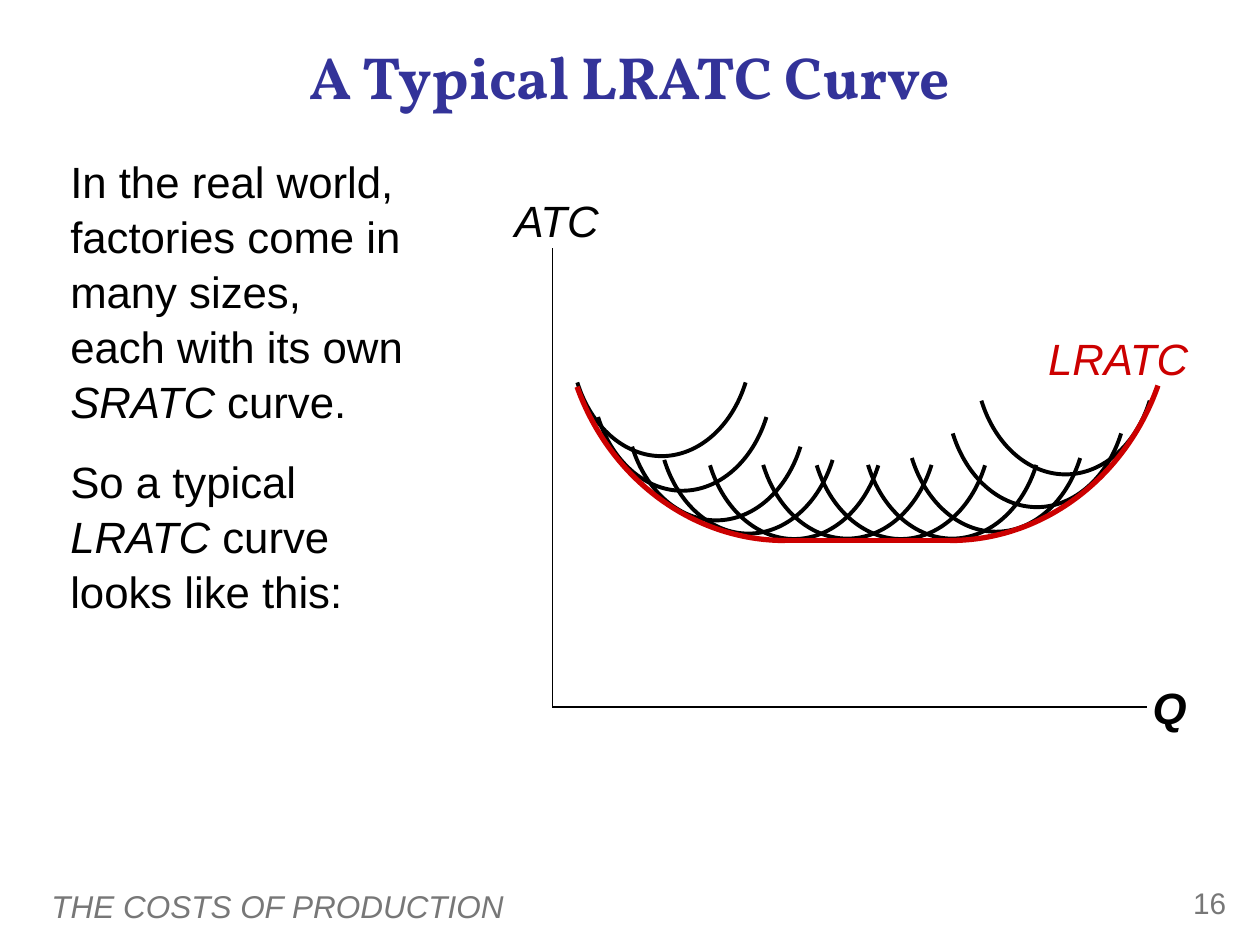
"""Builds the slide on a typical long-run average total cost curve."""
from lxml import etree
from pptx import Presentation, util as u
from pptx.dml.color import RGBColor
from pptx.enum import text
from pptx.enum.shapes import MSO_CONNECTOR
from pptx.oxml.ns import qn

BLACK = RGBColor(0x00, 0x00, 0x00)
GREY = RGBColor(0x77, 0x77, 0x77)
INDIGO = RGBColor(0x33, 0x33, 0x99)
RED = RGBColor(0xCC, 0x00, 0x00)
WHITE = RGBColor(0xFF, 0xFF, 0xFF)
COLUMNS, ROWS = 100, 75
LEFT, CENTER, RIGHT = (text.PP_ALIGN.LEFT, text.PP_ALIGN.CENTER,
                       text.PP_ALIGN.RIGHT)
TOP, MIDDLE = text.MSO_ANCHOR.TOP, text.MSO_ANCHOR.MIDDLE


class CostSlide:
    """Holds the style and the slide, measured on a grid of 100 by 75 cells."""

    def __init__(self, deck):
        self.cell_width = deck.slide_width / COLUMNS
        self.cell_height = deck.slide_height / ROWS
        self.page = deck.slides.add_slide(deck.slide_layouts[5])
        self.page.background.fill.solid()
        self.page.background.fill.fore_color.rgb = WHITE
        self.body_font, self.title_font = "Arial", "Vollkorn"

    def place(self, column, row):
        """Turns a grid position or size into slide units."""
        return round(column * self.cell_width), round(row * self.cell_height)

    def span(self, para, words, size, color, font, bold=False, italic=False):
        """Adds one formatted run to a paragraph."""
        span = para.add_run()
        span.text = words
        span.font.name, span.font.size = font, u.Pt(size)
        span.font.color.rgb = color
        span.font.bold, span.font.italic = bold, italic

    def title(self, words, left, top, width, height):
        """Moves and fills the title placeholder."""
        box = self.page.shapes.title
        box.left, box.top = self.place(left, top)
        box.width, box.height = self.place(width, height)
        box.text_frame.vertical_anchor = MIDDLE
        para = box.text_frame.paragraphs[0]
        para.alignment = CENTER
        self.span(para, words, 34, INDIGO, self.title_font, bold=True)

    def box(self, left, top, width, height, anchor=TOP):
        """Adds an empty wrapping text box and returns its frame."""
        box = self.page.shapes.add_textbox(*self.place(left, top),
                                           *self.place(width, height))
        box.text_frame.word_wrap = True
        box.text_frame.vertical_anchor = anchor
        return box.text_frame

    def label(self, words, area, size=25, color=BLACK, align=LEFT,
              anchor=TOP, bold=False, italic=True):
        """Adds a single-line label."""
        para = self.box(*area, anchor).paragraphs[0]
        para.alignment = align
        self.span(para, words, size, color, self.body_font, bold, italic)

    def story(self, paragraphs, area):
        """Adds paragraphs of (words, italic) runs; None breaks the line."""
        frame = self.box(*area)
        for index, pieces in enumerate(paragraphs):
            para = frame.add_paragraph() if index else frame.paragraphs[0]
            para.line_spacing = 1.05
            para.space_before = u.Pt(14 if index else 0)
            for piece in pieces:
                if piece is None:
                    para.add_line_break()
                else:
                    words, italic = piece
                    self.span(para, words, 25, BLACK, self.body_font,
                              italic=italic)

    def line(self, start, end, color=BLACK, weight=0.75):
        """Adds a straight line without a shadow."""
        line = self.page.shapes.add_connector(
            MSO_CONNECTOR.STRAIGHT, *self.place(*start), *self.place(*end))
        line.line.color.rgb, line.line.width = color, u.Pt(weight)
        etree.SubElement(line._element.spPr, qn("a:effectLst"))

    def arc(self, knots, hub, color=BLACK, weight=2.25):
        """Draws cubic Bezier curves in a frame that reaches to the hub."""
        points = [self.place(*point) for point in (*knots, hub)]
        builder = self.page.shapes.build_freeform(*points[0])
        builder.add_line_segments(points[1:], close=False)
        shape = builder.convert_to_shape()
        outline = next(shape._element.iter(qn("a:path")))
        segments = outline.findall(qn("a:lnTo"))
        for segment in segments:
            outline.remove(segment)
        for first in range(0, len(segments) - 1, 3):
            bend = etree.SubElement(outline, qn("a:cubicBezTo"))
            for segment in segments[first:first + 3]:
                bend.append(segment[0])
        shape.shadow.inherit = False
        shape.fill.background()
        shape.line.color.rgb, shape.line.width = color, u.Pt(weight)

    def short_run(self, center, bottom):
        """Draws one U-shaped short-run cost curve around its lowest point."""
        half = ((6.68, -5.85), (5.6, -2.35), (2.95, 0))
        right = [(center + x, bottom + y) for x, y in half]
        left = [(center - x, bottom + y) for x, y in reversed(half)]
        self.arc([*right, (center, bottom), *left], (center, bottom - 9.13))


def main():
    deck = Presentation()
    deck.slide_width, deck.slide_height = u.Inches(10), u.Inches(7.5)
    slide = CostSlide(deck)

    slide.label("THE COSTS OF PRODUCTION", (3.1, 69.9, 80.2, 4), 18, GREY,
                anchor=MIDDLE)
    slide.label("16", (90.8, 69.7, 7.5, 4), 17, GREY, RIGHT, italic=False)
    slide.title("A Typical LRATC Curve", 0, 2.75, 100, 6.5)

    origin = (43.85, 56.12)
    slide.line((43.85, 19.7), origin)
    slide.line(origin, (91, 56.12))
    slide.label("Q", (90.5, 53.5, 5.8, 5.2), bold=True)
    slide.label("ATC", (38.6, 14.9, 9.9, 5.2), align=RIGHT)

    slide.story([
        [("In the real world, factories come in many sizes, ", False), None,
         ("each with its own ", False), ("SRATC", True), (" curve.", False)],
        [("So a typical ", False), ("LRATC", True), (" curve ", False), None,
         ("looks like this:", False)],
    ], (4.6, 11.6, 30.6, 47.3))

    lowest_points = [(52.5, 36.2), (54.15, 38.95), (56.85, 41.3),
                     (59.4, 42.35), (63.03, 42.78), (67.25, 42.75),
                     (71.5, 42.78), (75.57, 42.75), (79.05, 42.2),
                     (82.3, 40.25), (84.57, 37.65)]
    for center, bottom in lowest_points:
        slide.short_run(center, bottom)

    flat_start, flat_end = (62.3, 42.9), (75.4, 42.9)
    slide.label("LRATC", (82.2, 25.8, 14.1, 5.2), color=RED)
    slide.arc([flat_start, (55, 42.9), (48.4, 38), (45.8, 30.7)],
              (62.3, 23.8), RED, 3)
    slide.arc([(91.9, 30.6), (89.3, 38), (82.7, 42.9), flat_end],
              (75.4, 23.8), RED, 3)
    slide.line(flat_start, flat_end, RED, 3)
    deck.save("out.pptx")


if __name__ == "__main__":
    main()
